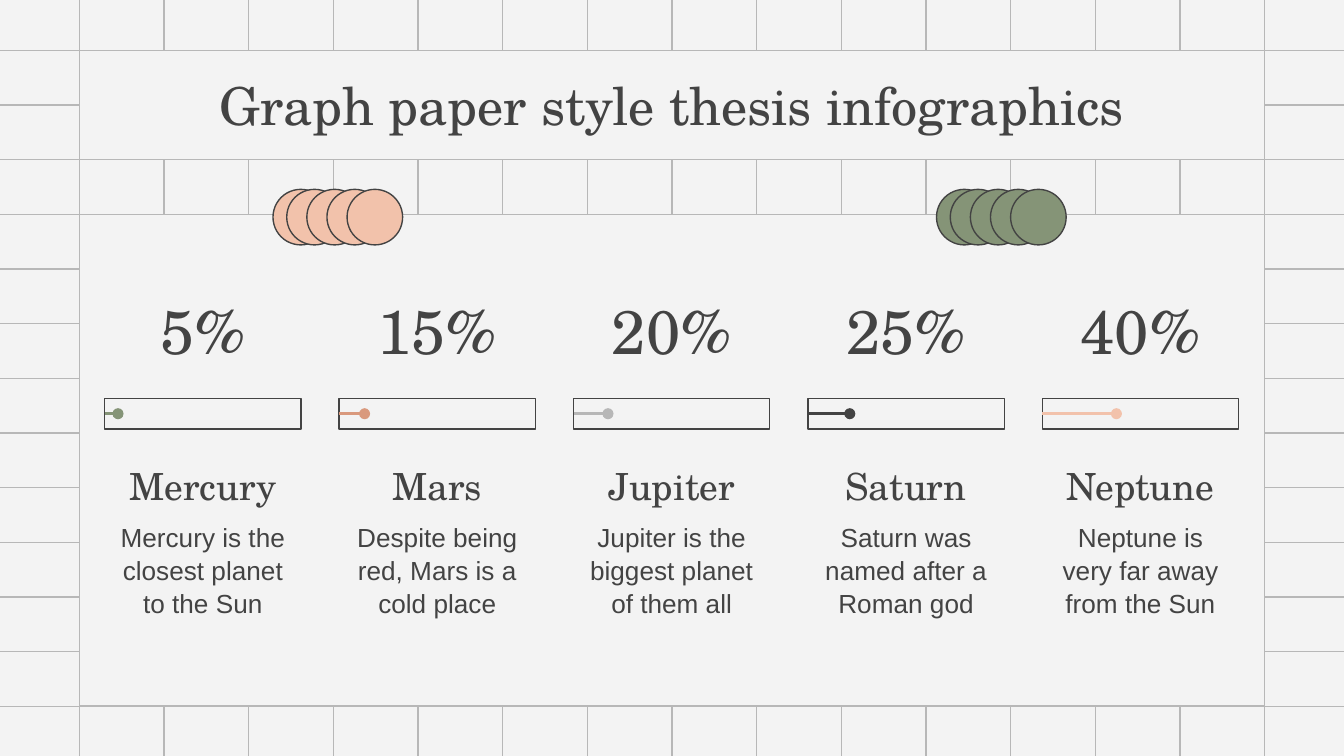
from dataclasses import dataclass

from lxml.etree import SubElement
from pptx import Presentation
from pptx.dml.color import RGBColor as RGB
from pptx.enum.shapes import MSO_CONNECTOR as LINK, MSO_SHAPE as SHAPE
from pptx.enum.text import MSO_ANCHOR as ANCHOR, MSO_AUTO_SIZE as FIT, PP_ALIGN as ALIGN
from pptx.oxml.ns import qn
from pptx.util import Cm, Pt


@dataclass(frozen=True)
class Theme:
    paper: str = "F3F3F3"
    grid: str = "B7B7B7"
    ink: str = "434343"
    green: str = "859477"
    clay: str = "D9997D"
    peach: str = "F2C2AB"
    serif: str = "TeX Gyre Schola"
    sans: str = "Arial"
    title: int = 28
    share: int = 33
    name: int = 20
    body: int = 14
    thin: float = 0.75
    bold: float = 1.5


theme = Theme()
deck = Presentation()
deck.slide_width, deck.slide_height = Cm(25.4), Cm(14.29)
slide = deck.slides.add_slide(deck.slide_layouts[5])
slide.background.fill.solid()
slide.background.fill.fore_color.rgb = RGB.from_string(theme.paper)
shapes = slide.shapes


def paint(shape, fill, edge):
    shape.shadow.inherit = False
    shape.fill.solid()
    shape.fill.fore_color.rgb = RGB.from_string(fill)
    shape.line.color.rgb = RGB.from_string(edge)
    shape.line.width = Pt(theme.thin)


def rule(x1, y1, x2, y2, color, width):
    """Draw a straight line without a shadow; positions are in cm."""
    line = shapes.add_connector(LINK.STRAIGHT, Cm(x1), Cm(y1), Cm(x2), Cm(y2))
    line.line.color.rgb = RGB.from_string(color)
    line.line.width = Pt(width)
    SubElement(line.element.spPr, qn("a:effectLst"))
    return line


# Graph paper
left, top, col, row = 1.5, 0.95, 1.6, 12.4 / 12
for i in range(15):
    rule(left + i * col, -0.08, left + i * col, 14.37, theme.grid, theme.thin)
for i in range(13):
    rule(-0.1, top + i * row, 25.5, top + i * row, theme.grid, theme.thin)

# Main panel and title, both aligned with the grid
wide = Cm(14 * col)
panel = shapes.add_shape(SHAPE.RECTANGLE, Cm(left), Cm(top + 3 * row), wide, Cm(9 * row))
paint(panel, theme.paper, theme.grid)
title = shapes.title
title.left, title.top, title.width, title.height = Cm(left), Cm(top), wide, Cm(2 * row)
title.fill.solid()
title.fill.fore_color.rgb = RGB.from_string(theme.paper)
title.line.color.rgb = RGB.from_string(theme.grid)
title.line.width = Pt(theme.thin)
panel.element.addnext(title.element)
labels = [(title, "Graph paper style thesis infographics",
           theme.title, theme.serif, ANCHOR.MIDDLE)]

# Planet columns: share, name, text, bar length in cm, bar colour
planets = [
    ("5%", "Mercury", "Mercury is the closest planet to the Sun", 0.25, theme.green),
    ("15%", "Mars", "Despite being red, Mars is a cold place", 0.48, theme.clay),
    ("20%", "Jupiter", "Jupiter is the biggest planet of them all", 0.65, theme.grid),
    ("25%", "Saturn", "Saturn was named after a Roman god", 0.79, theme.ink),
    ("40%", "Neptune", "Neptune is very far away from the Sun", 1.4, theme.peach),
]
span = 3.71
for i, (share, name, text, size, color) in enumerate(planets):
    x = 1.98 + i * 4.43
    for words, y, high, points, font, anchor in [
        (name, 8.64, 1.22, theme.name, theme.serif, ANCHOR.BOTTOM),
        (text, 9.58, 2.41, theme.body, theme.sans, ANCHOR.TOP),
        (share, 5.56, 1.37, theme.share, theme.serif, ANCHOR.MIDDLE),
    ]:
        box = shapes.add_textbox(Cm(x), Cm(y), Cm(span), Cm(high))
        labels.append((box, words, points, font, anchor))
    bar = shapes.add_shape(SHAPE.RECTANGLE, Cm(x), Cm(7.53), Cm(span), Cm(0.58))
    paint(bar, theme.paper, theme.ink)
    mark = rule(x, 7.82, x + size, 7.82, color, theme.bold)
    SubElement(mark.line._get_or_add_ln(), qn("a:tailEnd"), type="oval")

# Overlapping discs on the panel's top edge
for x, color in [(5.16, theme.peach), (17.7, theme.green)]:
    for shift in (0, 0.26, 0.64, 1.02, 1.4):
        disc = shapes.add_shape(SHAPE.OVAL, Cm(x + shift), Cm(3.58), Cm(1.05), Cm(1.05))
        paint(disc, color, theme.ink)

# Text of the title and the columns
for box, words, points, face, anchor in labels:
    frame = box.text_frame
    frame.text = words
    frame.word_wrap = True
    frame.auto_size = FIT.NONE
    frame.vertical_anchor = anchor
    frame.margin_left = frame.margin_right = Cm(0.25)
    frame.margin_top = frame.margin_bottom = Cm(0.25)
    para = frame.paragraphs[0]
    para.alignment = ALIGN.CENTER
    if points == theme.body:
        para.line_spacing = 1.05
    font = para.runs[0].font
    font.name, font.size = face, Pt(points)
    font.color.rgb = RGB.from_string(theme.ink)

deck.save("out.pptx")
